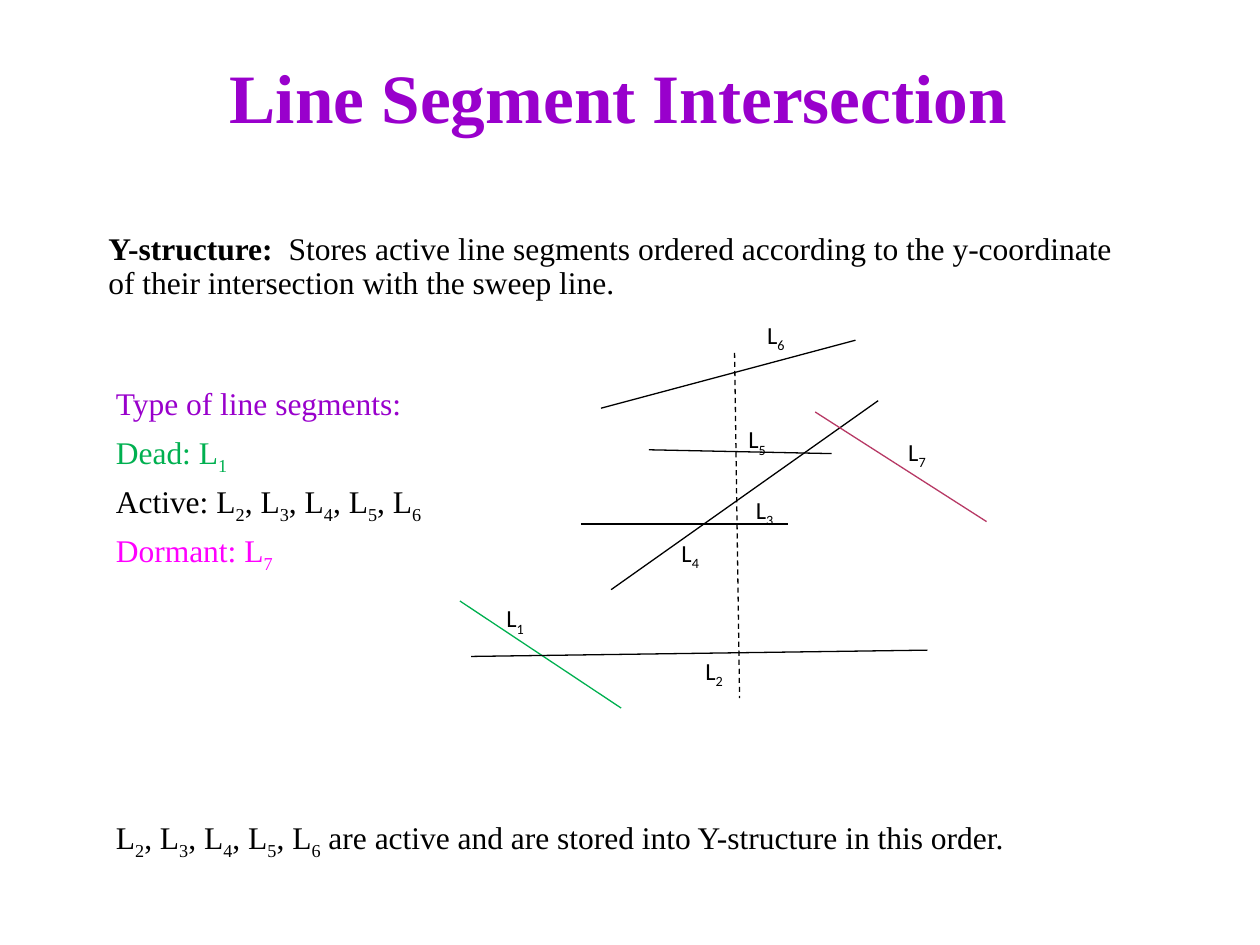
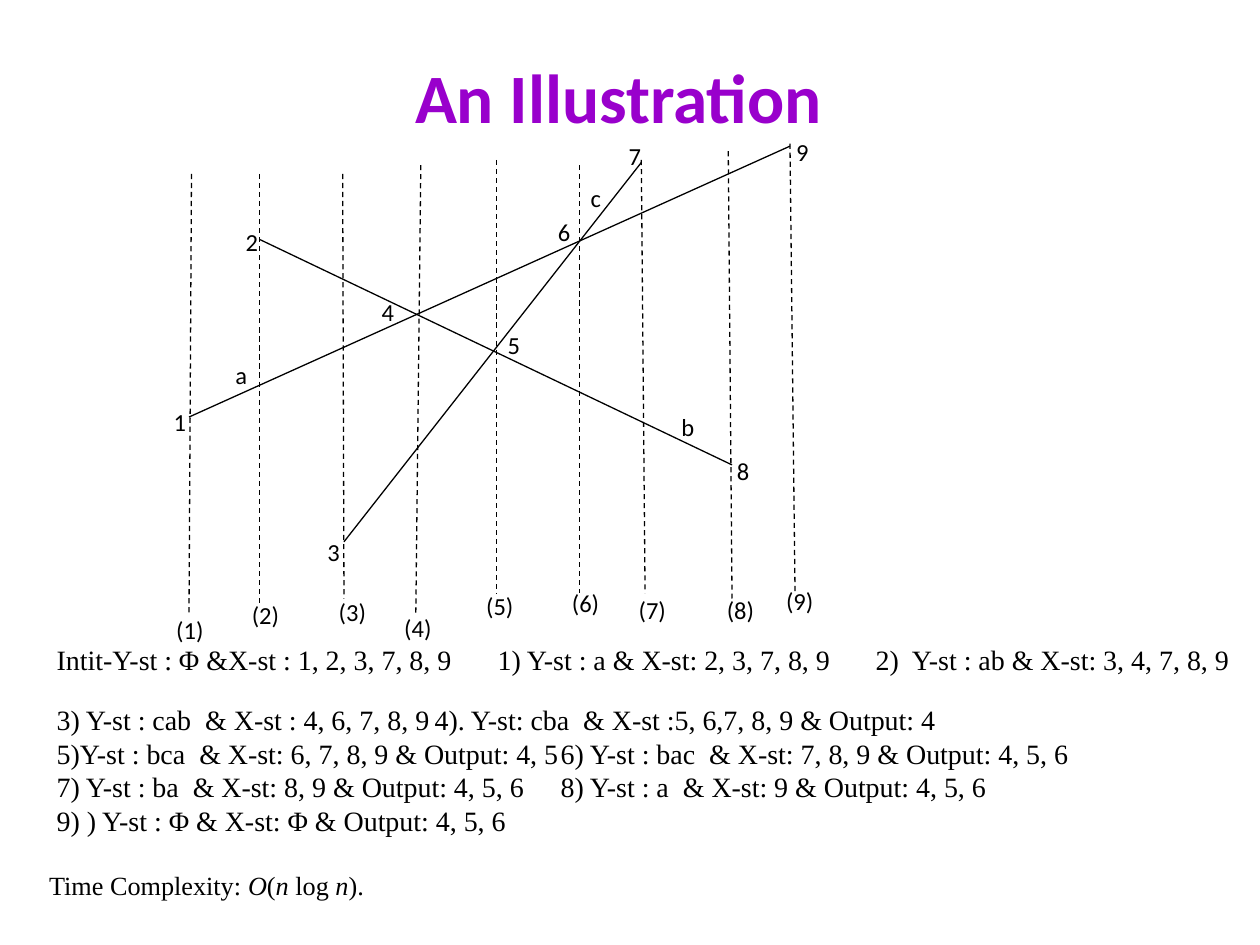
from lxml.etree import SubElement
from pptx import Presentation
from pptx.dml.color import RGBColor
from pptx.enum.dml import MSO_LINE
from pptx.enum.shapes import MSO_CONNECTOR
from pptx.enum.text import MSO_ANCHOR, MSO_AUTO_SIZE, PP_ALIGN
from pptx.oxml.ns import qn
from pptx.util import Inches, Pt

# Shared look
PURPLE = RGBColor(0x99, 0x00, 0xCC)
BLACK = RGBColor(0x00, 0x00, 0x00)
GREEN = RGBColor(0x00, 0xB0, 0x50)
MAGENTA = RGBColor(0xFF, 0x00, 0xFF)
CRIMSON = RGBColor(0xB7, 0x39, 0x65)
SERIF, SANS = "Times New Roman", "Calibri"
TITLE_BOX = (0.23, 0.36, 9.38, 0.73)
INDENT = 0.06

# Slide 1: an underscore puts the next character below the line
SWEEP_BODY = [  # (runs as (text, format), space before in points, indent)
    ([("Y-structure: ", {"bold": True}),
      (" Stores active line segments ordered according to the y-coordinate "
       "of their intersection with the sweep line.", {})], 0, 0),
    ([("Type of line segments:", {"color": PURPLE})], 50, INDENT),
    ([("Dead: L_1", {"color": GREEN})], 6, INDENT),
    ([("Active: L_2, L_3, L_4, L_5, L_6", {})], 6, INDENT),
    ([("Dormant: L_7", {"color": MAGENTA})], 6, INDENT),
    ([("L_2, L_3, L_4, L_5, L_6 are active and are stored into "
       "Y-structure in this order.", {})], 142, INDENT),
]
SWEEP_LABELS = [  # (text, left, top, width, height)
    ("L_1", 3.92, 4.74, 0.46, 0.42), ("L_2", 5.5, 5.16, 0.44, 0.32),
    ("L_3", 5.9, 3.88, 0.42, 0.35), ("L_4", 5.31, 4.22, 0.38, 0.39),
    ("L_5", 5.84, 3.32, 0.42, 0.4), ("L_6", 5.99, 2.49, 0.4, 0.37),
    ("L_7", 7.11, 3.42, 0.42, 0.4),
]
SWEEP_LINES = [  # (x1, y1, x2, y2, colour)
    (3.65, 4.77, 4.93, 5.62, GREEN), (3.74, 5.21, 7.36, 5.16, BLACK),
    (4.61, 4.16, 6.25, 4.16, BLACK), (4.85, 4.68, 6.97, 3.18, BLACK),
    (5.15, 3.57, 6.6, 3.6, BLACK), (4.77, 3.24, 6.79, 2.7, BLACK),
    (6.47, 3.27, 7.83, 4.14, CRIMSON),
]
SWEEP_DASHES = [(5.83, 2.8, 5.87, 5.54, BLACK)]

# Slide 2: each step row has its entries and the tab stops between them
STEP_ROWS = [  # (entries, tab stops in inches, space before in points)
    (["Intit-Y-st : Φ &X-st : 1, 2, 3, 7, 8, 9",
      "1) Y-st : a & X-st: 2, 3, 7, 8, 9",
      "2)  Y-st : ab & X-st: 3, 4, 7, 8, 9"], [3.52, 6.49], 0),
    (["3) Y-st : cab  & X-st : 4, 6, 7, 8, 9",
      "4). Y-st: cba  & X-st :5, 6,7, 8, 9 & Output: 4"], [3.57], 19),
    (["5)Y-st : bca  & X-st: 6, 7, 8, 9 & Output: 4, 5",
      "6) Y-st : bac  & X-st: 7, 8, 9 & Output: 4, 5, 6"], [4.26], 3.8),
    (["7) Y-st : ba  & X-st: 8, 9 & Output: 4, 5, 6",
      "8) Y-st : a  & X-st: 9 & Output: 4, 5, 6"], [4.32], 3.8),
    (["9) ) Y-st : Φ & X-st: Φ & Output: 4, 5, 6"], [], 3.8),
]
COMPLEXITY = [("Time Complexity: ", False), ("O", True), ("(", False),
              ("n ", True), ("log", False), (" n", True), (").", False)]
EVENT_LABELS = [
    ("1", 1.28, 3.18, 0.36, 0.4), ("2", 1.85, 1.75, 0.38, 0.35),
    ("3", 2.5, 4.21, 0.43, 0.38), ("4", 2.93, 2.31, 0.31, 0.34),
    ("5", 3.93, 2.57, 0.34, 0.36), ("6", 4.33, 1.67, 0.31, 0.36),
    ("7", 4.89, 1.07, 0.44, 0.33), ("8", 5.75, 3.57, 0.39, 0.37),
    ("9", 6.22, 1.04, 0.34, 0.33), ("a", 1.77, 2.81, 0.43, 0.37),
    ("b", 5.31, 3.22, 0.4, 0.32), ("c", 4.59, 1.4, 0.43, 0.43),
    ("(1)", 1.3, 4.83, 0.55, 0.31), ("(2)", 1.9, 4.71, 0.46, 0.32),
    ("(3)", 2.59, 4.69, 0.47, 0.33), ("(4)", 3.11, 4.82, 0.42, 0.33),
    ("(5)", 3.76, 4.64, 0.51, 0.39), ("(6)", 4.44, 4.62, 0.51, 0.43),
    ("(7)", 4.97, 4.67, 0.49, 0.36), ("(8)", 5.67, 4.67, 0.47, 0.38),
    ("(9)", 6.14, 4.6, 0.51, 0.35),
]
EVENT_LINES = [
    (1.5, 3.31, 6.27, 1.16, BLACK), (2.06, 1.9, 5.81, 3.69, BLACK),
    (5.09, 1.29, 2.73, 4.3, BLACK),
]
EVENT_DASHES = [
    (1.52, 1.38, 1.5, 4.88, BLACK), (2.06, 1.38, 2.06, 4.8, BLACK),
    (2.72, 1.38, 2.73, 4.75, BLACK), (3.34, 1.31, 3.3, 4.88, BLACK),
    (3.94, 1.27, 3.94, 4.71, BLACK), (4.6, 1.31, 4.6, 4.71, BLACK),
    (5.09, 1.27, 5.12, 4.71, BLACK), (5.78, 1.2, 5.81, 4.75, BLACK),
    (6.27, 1.14, 6.31, 4.71, BLACK),
]


def add_text(paragraph, text, size=18, font=SERIF, color=BLACK,
             bold=False, italic=False):
    """Add runs; the character after each underscore becomes a subscript."""
    first, *rest = text.split("_")
    pieces = [(first, False)]
    for part in rest:
        pieces += [(part[:1], True), (part[1:], False)]
    for piece, lowered in pieces:
        if not piece:
            continue
        run = paragraph.add_run()
        run.text = piece
        run.font.size, run.font.name = Pt(size), font
        run.font.bold, run.font.italic = bold, italic
        run.font.color.rgb = color
        if lowered:
            run.font._element.set("baseline", "-25000")


def place(shape, box, margins, anchor):
    shape.left, shape.top, shape.width, shape.height = map(Inches, box)
    frame = shape.text_frame
    frame.word_wrap, frame.auto_size = True, MSO_AUTO_SIZE.NONE
    frame.vertical_anchor = anchor
    (frame.margin_left, frame.margin_top,
     frame.margin_right, frame.margin_bottom) = map(Inches, margins)
    return frame


def add_body_paragraph(frame, spacing, before, indent=0, tabs=()):
    used = frame.paragraphs[0].runs
    paragraph = frame.add_paragraph() if used else frame.paragraphs[0]
    paragraph.alignment = PP_ALIGN.LEFT
    paragraph.line_spacing, paragraph.space_before = spacing, Pt(before)
    paragraph.space_after = Pt(0)
    properties = paragraph._p.get_or_add_pPr()
    properties.set("marL", str(Inches(indent)))
    properties.set("indent", "0")
    if tabs:
        tab_list = SubElement(properties, qn("a:tabLst"))
        for stop in tabs:
            SubElement(tab_list, qn("a:tab"), pos=str(Inches(stop)), algn="l")
    return paragraph


def add_slide(title, font, body_box, body_top):
    slide = presentation.slides.add_slide(presentation.slide_layouts[0])
    frame = place(slide.shapes.title, TITLE_BOX, (0, 0, 0.02, 0),
                  MSO_ANCHOR.BOTTOM)
    frame.paragraphs[0].alignment = PP_ALIGN.CENTER
    add_text(frame.paragraphs[0], title, size=39.6, font=font,
             color=PURPLE, bold=True)
    body = place(slide.placeholders[1], body_box, (0, body_top, 0.02, 0.05),
                 MSO_ANCHOR.TOP)
    return slide, body


def add_diagram(slide, labels, lines, dashes):
    group = slide.shapes.add_group_shape()
    for dashed, ends in ((True, dashes), (False, lines)):
        for *points, color in ends:
            line = group.shapes.add_connector(
                MSO_CONNECTOR.STRAIGHT, *map(Inches, points))
            line.line.color.rgb, line.line.width = color, Pt(0.75)
            if dashed:
                line.line.dash_style = MSO_LINE.DASH
            SubElement(line._element.spPr, qn("a:effectLst"))
    for text, *box in labels:
        label = group.shapes.add_textbox(*map(Inches, box))
        frame = place(label, box, (0.1, 0.05, 0.1, 0.05), MSO_ANCHOR.TOP)
        frame.paragraphs[0].space_after = Pt(10)
        add_text(frame.paragraphs[0], text, size=14, font=SANS)


presentation = Presentation()
presentation.slide_width, presentation.slide_height = Inches(10), Inches(7.5)

# Slide 1: active, dead and dormant segments
slide, body = add_slide("Line Segment Intersection", SERIF,
                        (0.86, 1.8, 8.2, 5.39), 0.05)
for runs, before, indent in SWEEP_BODY:
    paragraph = add_body_paragraph(body, 0.9, before, indent)
    for text, style in runs:
        add_text(paragraph, text, **style)
add_diagram(slide, SWEEP_LABELS, SWEEP_LINES, SWEEP_DASHES)

# Slide 2: the sweep step by step
slide, body = add_slide("An Illustration", SANS, (0.39, 1.25, 9.45, 6.02), 3.9)
for entries, tabs, before in STEP_ROWS:
    paragraph = add_body_paragraph(body, 0.8, before, INDENT, tabs)
    add_text(paragraph, "\t".join(entries), size=16)
paragraph = add_body_paragraph(body, 0.8, 22)
for text, italic in COMPLEXITY:
    add_text(paragraph, text, size=15, italic=italic)
add_diagram(slide, EVENT_LABELS, EVENT_LINES, EVENT_DASHES)

presentation.save("out.pptx")
